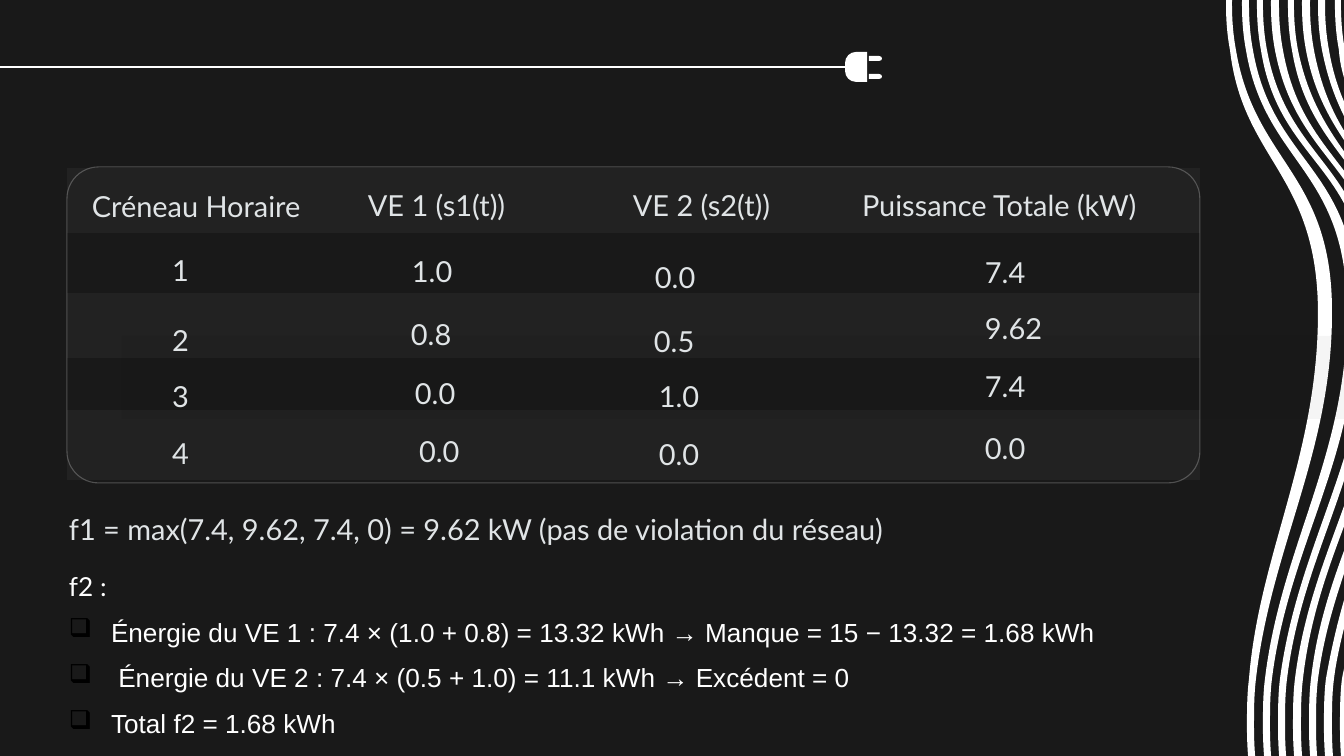
import math
import pptx
import pptx.util
import pptx.dml.color
import pptx.enum.shapes
import pptx.oxml.ns
import lxml.etree

COLORS = {"night": "191919", "white": "FFFFFF", "black": "000000", "mist": "E0E4E6"}
SHAPES = pptx.enum.shapes.MSO_SHAPE
EMU_PER_PX = 914400 / 134.4
WIDTH, HEIGHT, STRIPE_LIMIT = 1344, 756, 1348


def px(value):
    return pptx.util.Emu(round(value * EMU_PER_PX))


def color(name):
    return pptx.dml.color.RGBColor.from_string(COLORS[name])


def add_xml(parent, tag, **attributes):
    return lxml.etree.SubElement(parent, pptx.oxml.ns.qn(tag), attributes)


def rotate(point, degrees):
    x, y = point
    cos, sin = math.cos(math.radians(degrees)), math.sin(math.radians(degrees))
    return x * cos - y * sin, x * sin + y * cos


def top_edge(x, end, *bend):
    reach = min(64, STRIPE_LIMIT - x)
    return [(x + reach, end), (x + 0.54 * reach, 0.72 * end), (x, 0.37 * end),
            (x, 4), (x, 19), (x + 1, 34), (x + 4, 50), *bend]


def bottom_edge(x, end, *bend):
    reach, drop = min(51, STRIPE_LIMIT - x), end - 727
    return [(x + reach, end), (x + 0.35 * reach, 727 + 0.7 * drop), (x, 727 + 0.36 * drop),
            (x, 727), (x, 711), (x, 695), (x + 2, 679), *bend]


class Slide:
    def __init__(self, deck):
        self.page = deck.slides.add_slide(deck.slide_layouts[6])
        self.page.background.fill.solid()
        self.page.background.fill.fore_color.rgb = color("night")

    def set_opacity(self, shape, percent):
        for node in shape._element.spPr.iter(pptx.oxml.ns.qn("a:srgbClr")):
            add_xml(node, "a:alpha", val=str(percent * 1000))

    def fill(self, shape, name):
        shape.shadow.inherit = False
        shape.fill.solid()
        shape.fill.fore_color.rgb = color(name)
        shape.line.fill.background()

    def outline(self, *chains, turn=0):
        points = [rotate(point, -turn) for chain in chains for point in chain]
        corners = [(px(x), px(y)) for x, y in points]
        builder = self.page.shapes.build_freeform(*corners[0])
        builder.add_line_segments(corners[1:], close=True)
        shape = builder.convert_to_shape()
        self.fill(shape, "white")
        self.bend(shape, chains)
        center = shape.left + shape.width / 2, shape.top + shape.height / 2
        x, y = rotate(center, turn)
        shape.left = round(x - shape.width / 2)
        shape.top = round(y - shape.height / 2)
        shape.rotation = turn

    def bend(self, shape, chains):
        route = next(shape._element.spPr.iter(pptx.oxml.ns.qn("a:path")))
        nodes = list(route)
        start = 0
        for chain in chains:
            for index in range(start + 1, start + len(chain), 3):
                curve = lxml.etree.Element(pptx.oxml.ns.qn("a:cubicBezTo"))
                nodes[index].addprevious(curve)
                for node in nodes[index:index + 3]:
                    curve.append(node[0])
                    route.remove(node)
            start += len(chain)

    def cable(self, left, right, top):
        line = self.page.shapes.add_connector(
            pptx.enum.shapes.MSO_CONNECTOR.STRAIGHT, px(left), px(top), px(right), px(top))
        line.line.color.rgb = color("white")
        line.line.width = pptx.util.Pt(0.75)
        add_xml(line._element.spPr, "a:effectLst")

    def band(self, left, top, width, height, name):
        shape = self.page.shapes.add_shape(SHAPES.RECTANGLE, px(left), px(top), px(width), px(height))
        self.fill(shape, name)
        self.set_opacity(shape, 4)

    def frame(self, left, top, width, height):
        shape = self.page.shapes.add_shape(
            SHAPES.ROUNDED_RECTANGLE, px(left), px(top), px(width), px(height))
        shape.adjustments[0] = 0.1
        shape.shadow.inherit = False
        shape.fill.background()
        shape.line.color.rgb = color("white")
        shape.line.width = pptx.util.Pt(0.6)
        self.set_opacity(shape, 24)

    def text(self, text, left, top, width, height, size=15.5, name="mist", bullets=False):
        box = self.page.shapes.add_textbox(px(left), px(top), px(width), px(height))
        text_frame = box.text_frame
        text_frame.word_wrap = True
        text_frame.margin_left = text_frame.margin_right = 0
        text_frame.margin_top = text_frame.margin_bottom = 0
        text_frame.text = text
        for index, para in enumerate(text_frame.paragraphs):
            para.line_spacing = pptx.util.Pt(24.5)
            bulleted = bullets and index > 0
            if bulleted:
                self.bullet(para)
            for span in para.runs:
                span.font.name = "Arial" if bulleted else "Lato"
                span.font.size = pptx.util.Pt(size)
                span.font.color.rgb = color(name)

    def bullet(self, para):
        properties = para._p.get_or_add_pPr()
        properties.set("marL", str(px(42)))
        properties.set("indent", str(-px(42)))
        add_xml(add_xml(properties, "a:buClr"), "a:srgbClr", val=COLORS["black"])
        add_xml(properties, "a:buFont", typeface="Wingdings")
        add_xml(properties, "a:buChar", char="q")


TOP_STRIPES = [
    ((1271, -203, (1288, 118), (1321, 146), (1348, 185)), (1279, -203, (1294, 112), (1322, 141), (1348, 176))),
    ((1288, -198, (1301, 105), (1325, 134), (1348, 165)), (1294, -183, (1308, 99), (1328, 129), (1348, 157))),
    ((1257, -203, (1274, 132), (1321, 155), (1348, 211)), (1263, -203, (1281, 125), (1321, 151), (1348, 198))),
    ((1302, -167, (1314, 93), (1331, 121), (1348, 146)), (1310, -152, (1321, 87), (1333, 114), (1348, 137))),
    ((1318, -132, (1328, 81), (1337, 103), (1348, 124)), (1325, -114, (1333, 74), (1340, 94), (1348, 110))),
    ((1335, -89, (1340, 66), (1344, 78), (1348, 90)), (1341, -60, (1347, 56), (1347, 62), (1348, 66))),
]
BOTTOM_STRIPES = [
    ((1278, 915, (1292, 589), (1325, 523), (1348, 445)), (1285, 915, (1297, 598), (1327, 536), (1348, 468))),
    ((1293, 915, (1304, 607), (1328, 552), (1348, 495)), (1301, 910, (1310, 617), (1329, 566), (1348, 516))),
    ((1309, 892, (1317, 626), (1332, 583), (1348, 540)), (1316, 878, (1324, 634), (1336, 597), (1348, 562))),
    ((1324, 857, (1332, 645), (1339, 616), (1348, 587)), (1332, 837, (1337, 655), (1343, 633), (1348, 612))),
    ((1340, 806, (1344, 668), (1347, 657), (1348, 646)), (1346, 762, (1348, 679), (1348, 686), (1348, 693))),
]
LONG_STRIPES = [
    ((1242, -203, (1265, 164), (1347, 169), (1347, 311)), (1263, 915, (1281, 546), (1347, 456), (1347, 313)),
     (1249, -203, (1269, 142), (1325, 161), (1348, 238)), (1270, 915, (1285, 575), (1329, 500), (1348, 405))),
    ((1226, -203, (1243, 161), (1317, 173), (1318, 311)), (1247, 915, (1259, 554), (1318, 456), (1318, 313)),
     (1232, -203, (1255, 163), (1332, 173), (1332, 311)), (1254, 915, (1271, 547), (1332, 453), (1332, 313))),
]
COLUMNS = [
    (("Créneau Horaire", 92, 178, 276, 46), (339, 46),
     [("1", 172, 242), ("2", 172, 312), ("3", 172, 368), ("4", 172, 425)]),
    (("VE 1 (s1(t))", 368, 177, 185, 46), (337, 46),
     [("1.0", 412, 243), ("0.8", 411, 306), ("0.0", 415, 365), ("0.0", 419, 423)]),
    (("VE 2 (s2(t))", 633, 177, 185, 52), (160, 39),
     [("0.0", 655, 249), ("0.5", 654, 313), ("1.0", 659, 368), ("0.0", 659, 426)]),
    (("Puissance Totale (kW)", 862, 177, 286, 47), (148, 40),
     [("7.4", 985, 244), ("9.62", 985, 300), ("7.4", 985, 358), ("0.0", 985, 420)]),
]
ENERGY = [
    "f2 :",
    "Énergie du VE 1 : 7.4 × (1.0 + 0.8) = 13.32 kWh → Manque = 15 − 13.32 = 1.68 kWh",
    " Énergie du VE 2 : 7.4 × (0.5 + 1.0) = 11.1 kWh → Excédent = 0",
    "Total f2 = 1.68 kWh",
]


def main():
    deck = pptx.Presentation()
    deck.slide_width, deck.slide_height = px(WIDTH), px(HEIGHT)
    slide = Slide(deck)
    for edge, stripes in ((top_edge, TOP_STRIPES), (bottom_edge, BOTTOM_STRIPES)):
        for left, right in stripes:
            slide.outline(edge(*left), edge(*right)[::-1])
    for left_top, left_bottom, right_top, right_bottom in LONG_STRIPES:
        slide.outline(top_edge(*left_top), bottom_edge(*left_bottom)[::-1],
                      bottom_edge(*right_bottom), top_edge(*right_top)[::-1])

    slide.cable(-35, 847, 67)
    slide.outline([(867, 52)], [(856, 52), (850, 52), (845, 57), (845, 63)],
                  [(845, 71), (845, 77), (850, 82), (856, 82)], [(867, 82)], turn=45)
    for top in (56, 74):
        slide.outline([(869, top)], [(879, top), (883, top), (883, top + 5), (879, top + 5)],
                      [(869, top + 5)], turn=45)

    slide.frame(67, 167, 1133, 316)
    for top, height in ((168, 65), (293, 65), (410, 70)):
        slide.band(67, top, 1133, height, "white")
    slide.band(122, 336, 1538, 83, "black")
    for header, size, cells in COLUMNS:
        slide.text(*header)
        for cell in cells:
            slide.text(*cell, *size)

    slide.text("f1 = max(7.4, 9.62, 7.4, 0) = 9.62 kW (pas de violation du réseau)", 69, 501, 1504, 46)
    slide.text("\n".join(ENERGY), 69, 556, 1154, 199, size=14, name="white", bullets=True)
    deck.save("out.pptx")


if __name__ == "__main__":
    main()
